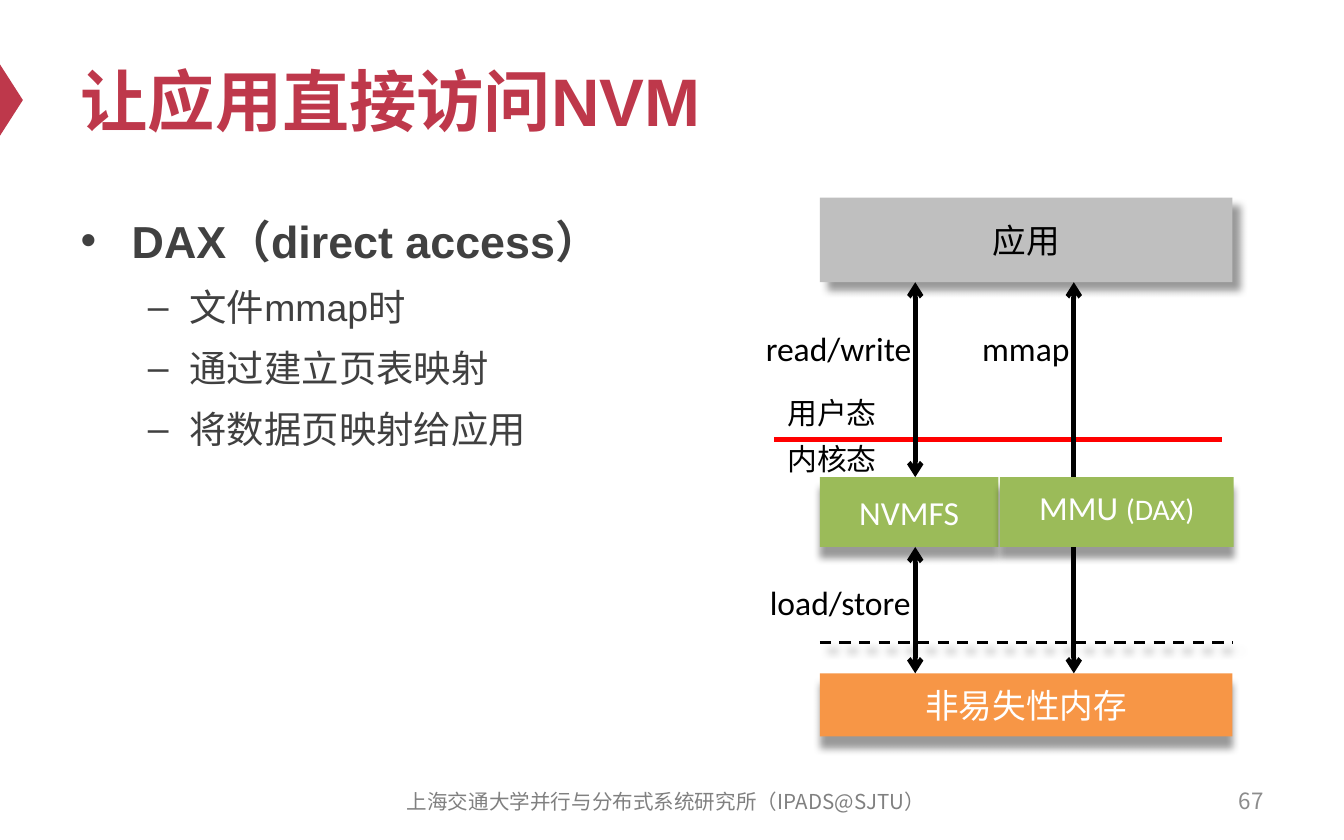
from lxml import etree
from pptx import Presentation
from pptx import util as u
from pptx.dml.color import RGBColor
from pptx.enum import dml, shapes, text
from pptx.oxml.ns import qn

PX = 9144  # EMU in one px, 100 px to the inch
CJK = "Noto Sans CJK SC"
HUES = {
    "brand": "BE384B", "ink": "000000", "body": "404040", "page": "8C8C8C",
    "foot": "808080", "white": "FFFFFF", "app": "BFBFBF", "kernel": "9BBB59",
    "store": "F79646", "split": "FF0000",
}
LEFT, MID, RIGHT = text.PP_ALIGN.LEFT, text.PP_ALIGN.CENTER, text.PP_ALIGN.RIGHT


class Deck:
    """Holds the style and the current slide."""

    def __init__(self, wide, high):
        self.prs = Presentation()
        self.prs.slide_width = u.Emu(wide * PX)
        self.prs.slide_height = u.Emu(high * PX)
        self.slide = self.prs.slides.add_slide(self.prs.slide_layouts[1])

    def area(self, *nums):
        return [u.Emu(n * PX) for n in nums]

    def hue(self, name):
        return RGBColor.from_string(HUES[name])

    def run(self, para, words, size, hue, font="Calibri", bold=False):
        run = para.add_run()
        run.text = words
        run.font.size, run.font.bold = u.Pt(size), bold
        run.font.name = font
        run.font.color.rgb = self.hue(hue)
        etree.SubElement(run.font._element, qn("a:ea"), typeface=CJK)

    def shade(self, item, angle=None):
        """Replace the theme shadow by none, or by a soft one at an angle."""
        fx = etree.SubElement(item._element.spPr, qn("a:effectLst"))
        if angle is not None:
            cast = etree.SubElement(
                fx, qn("a:outerShdw"), blurRad=str(u.Pt(4)), dist=str(u.Pt(6)),
                dir=str(angle * 60000), algn="tl", rotWithShape="0")
            tint = etree.SubElement(cast, qn("a:srgbClr"), val=HUES["ink"])
            etree.SubElement(tint, qn("a:alpha"), val="40000")

    def hold(self, index, box):
        """Place a template placeholder and return its text frame."""
        item = self.slide.placeholders[index]
        item.left, item.top, item.width, item.height = self.area(*box)
        item.text_frame.auto_size = text.MSO_AUTO_SIZE.NONE
        return item.text_frame

    def title(self, words, box):
        frame = self.hold(0, box)
        frame.vertical_anchor = text.MSO_ANCHOR.MIDDLE
        para = frame.paragraphs[0]
        para.alignment = LEFT
        self.run(para, words, 36, "brand", "Arial", True)

    def list(self, rows, box):
        frame = self.hold(1, box)
        for num, (level, words) in enumerate(rows):
            para = frame.paragraphs[0] if num == 0 else frame.add_paragraph()
            left, hang, mark, size = [(38, 38, "•", 24), (81, 31, "–", 20)][level]
            props = para._p.get_or_add_pPr()
            props.set("marL", str(left * PX))
            props.set("indent", str(-hang * PX))
            etree.SubElement(props, qn("a:buChar"), char=mark)
            para.level = level
            para.line_spacing = 1.2
            para.space_before = u.Pt(4 if num else 0)
            self.run(para, words, size, "body", "Arial", level == 0)

    def shape(self, kind, box, fill, angle=None):
        item = self.slide.shapes.add_shape(kind, *self.area(*box))
        item.fill.solid()
        item.fill.fore_color.rgb = self.hue(fill)
        item.line.fill.background()
        self.shade(item, angle)
        return item

    def block(self, runs, box, fill, hue="white", angle=90, lead=None):
        item = self.shape(shapes.MSO_SHAPE.RECTANGLE, box, fill, angle)
        item.text_frame.vertical_anchor = text.MSO_ANCHOR.MIDDLE
        para = item.text_frame.paragraphs[0]
        para.alignment = MID
        if lead:
            para.line_spacing = lead
        for words, size in runs:
            self.run(para, words, size, hue)

    def label(self, words, box, size):
        frame = self.slide.shapes.add_textbox(*self.area(*box)).text_frame
        frame.word_wrap = False
        frame.auto_size = text.MSO_AUTO_SIZE.SHAPE_TO_FIT_TEXT
        self.run(frame.paragraphs[0], words, size, "ink")

    def note(self, words, box, size, hue, align):
        frame = self.slide.shapes.add_textbox(*self.area(*box)).text_frame
        frame.word_wrap = True
        frame.vertical_anchor = text.MSO_ANCHOR.MIDDLE
        frame.paragraphs[0].alignment = align
        self.run(frame.paragraphs[0], words, size, hue, CJK)

    def line(self, ends, hue="ink", width=2.5, dash=False, tips=False, angle=None):
        item = self.slide.shapes.add_connector(
            shapes.MSO_CONNECTOR.STRAIGHT, *self.area(*ends))
        item.line.color.rgb = self.hue(hue)
        item.line.width = u.Pt(width)
        if dash:
            item.line.dash_style = dml.MSO_LINE.DASH
        if tips:
            for tip in ("a:headEnd", "a:tailEnd"):
                etree.SubElement(item.line._ln, qn(tip), type="arrow")
        self.shade(item, angle)


def main():
    deck = Deck(1000, 625)

    # Title, list and page frame
    mark = deck.shape(shapes.MSO_SHAPE.ISOSCELES_TRIANGLE, (-18, 66, 53, 17), "brand")
    mark.rotation = 90
    deck.title("让应用直接访问NVM", (50, 25, 900, 98))
    deck.list([
        (0, "DAX（direct access）"),
        (1, "文件mmap时"),
        (1, "通过建立页表映射"),
        (1, "将数据页映射给应用"),
    ], (50, 146, 900, 412))
    deck.note("67", (717, 579, 233, 33), 12, "page", RIGHT)
    deck.note("上海交通大学并行与分布式系统研究所（IPADS@SJTU）",
              (279, 580, 433, 33), 11, "foot", MID)

    # Edges shared by the layers of the diagram
    left, wide = 610, 307
    app, core, store = (147, 63), (355, 52), (501, 47)  # top, height
    low, base = sum(app), sum(core)
    call, direct = 681, 799  # x of the two access ways

    # User and kernel mode
    deck.line((576, 327, 909, 327), "split")
    deck.block([("应用", 18)], (left, app[0], wide, app[1]), "app", "ink", 45)
    for words, top in (("用户态", 289), ("内核态", 323)):
        deck.label(words, (576, top, 88, 37), 16)

    # Memory and its border
    deck.block([("非易失性内存", 18)], (left, store[0], wide, store[1]), "store")
    deck.line((left, 478, left + wide, 478), width=1.5, dash=True, angle=45)

    # Kernel parts; the direct way runs behind the MMU
    deck.block([("NVMFS", 18)], (left, core[0], 133, core[1]), "kernel")
    deck.line((direct, low, direct, store[0]), tips=True)
    deck.block([("MMU ", 18), ("(DAX)", 16)], (744, core[0], 174, core[1]),
               "kernel", lead=0.7)
    for top, end in ((base, store[0]), (low, core[0])):
        deck.line((call, top, call, end), tips=True)

    # Names of the ways
    for words, x, y, span in (("load/store", 563, 428, 126),
                              ("read/write", 560, 239, 130),
                              ("mmap", 721, 239, 86)):
        deck.label(words, (x, y, span, 40), 18)

    deck.prs.save("out.pptx")


if __name__ == "__main__":
    main()
